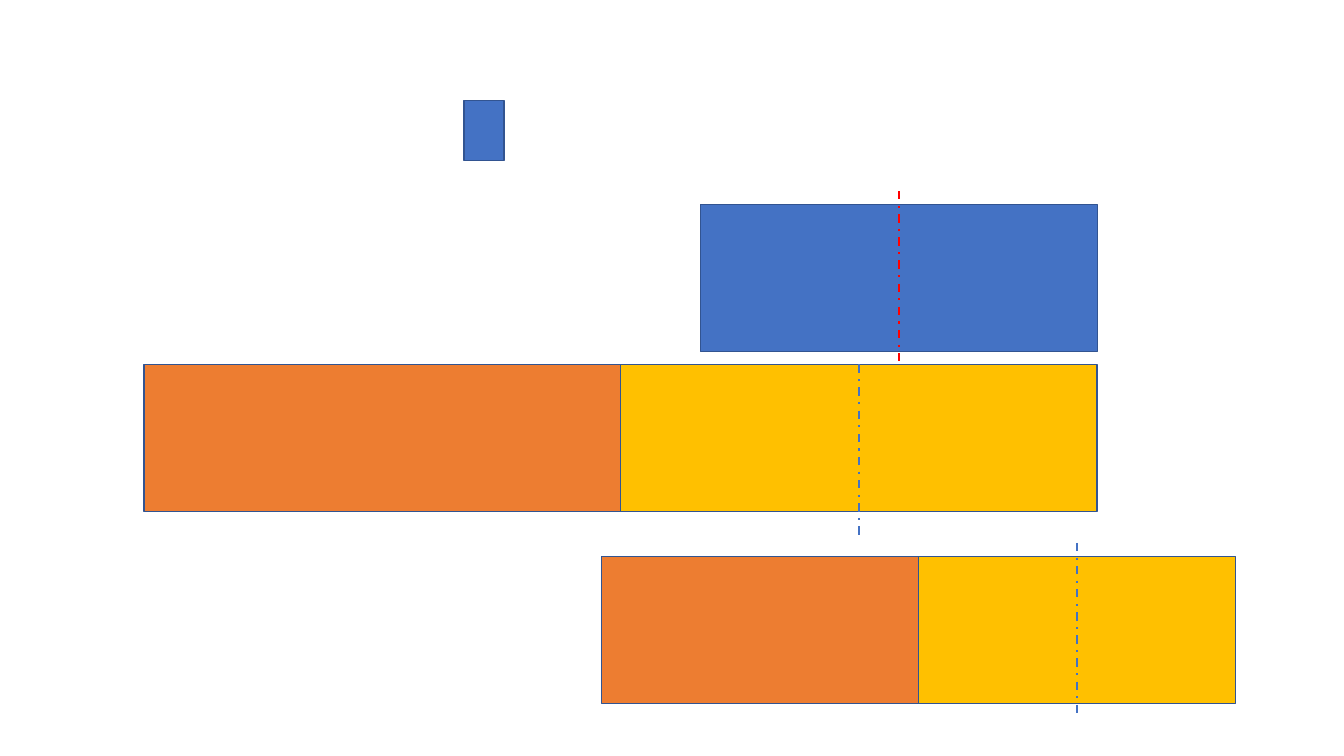
"""Builds a slide of stacked colour bars with dash-dot centre lines."""
from dataclasses import dataclass

from lxml.etree import SubElement
from pptx import Presentation
from pptx.dml.color import RGBColor
from pptx.enum.dml import MSO_LINE
from pptx.enum.shapes import MSO_CONNECTOR, MSO_SHAPE
from pptx.oxml.ns import qn
from pptx.util import Emu, Pt

EMU_PER_PX = 9525


def px(n):
    return Emu(n * EMU_PER_PX)


@dataclass(frozen=True)
class Theme:
    blue: str = "4472C4"
    orange: str = "ED7D31"
    yellow: str = "FFC000"
    red: str = "FF0000"
    outline: str = "325491"
    outline_width: float = 1
    axis_width: float = 1.5


class Canvas:
    def __init__(self, slide, theme):
        self.slide = slide
        self.theme = theme

    def group(self):
        return self.slide.shapes.add_group_shape()

    def bar(self, x, y, w, h, color, parent=None):
        shapes = (parent or self.slide).shapes
        s = shapes.add_shape(MSO_SHAPE.RECTANGLE, px(x), px(y), px(w), px(h))
        s.shadow.inherit = False
        s.fill.solid()
        s.fill.fore_color.rgb = RGBColor.from_string(color)
        s.line.color.rgb = RGBColor.from_string(self.theme.outline)
        s.line.width = Pt(self.theme.outline_width)
        return s

    def axis(self, x, y, length, color, parent=None):
        shapes = (parent or self.slide).shapes
        c = shapes.add_connector(MSO_CONNECTOR.STRAIGHT, px(x), px(y), px(x), px(y + length))
        c.line.color.rgb = RGBColor.from_string(color)
        c.line.width = Pt(self.theme.axis_width)
        c.line.dash_style = MSO_LINE.DASH_DOT
        SubElement(c._element.spPr, qn("a:effectLst"))
        return c


def main():
    prs = Presentation()
    prs.slide_width, prs.slide_height = px(1280), px(720)
    theme = Theme()
    canvas = Canvas(prs.slides.add_slide(prs.slide_layouts[6]), theme)
    bar_h, axis_h, overhang = 140, 166, 13

    x, y, w = 573, 530, 302
    canvas.bar(x, y, w, bar_h, theme.orange)
    canvas.bar(x + w, y, w, bar_h, theme.yellow)
    canvas.axis(x + w + w // 2, y - overhang, axis_h, theme.blue)

    x, y, w = 667, 195, 378
    grp = canvas.group()
    canvas.bar(x, y, w, bar_h, theme.blue, grp)
    canvas.axis(x + w // 2, y - overhang, axis_h, theme.red, grp)

    canvas.bar(442, 96, 38, 57, theme.blue)

    x, y, w = 137, 347, 454
    yellow_bar = canvas.bar(x + w, y, w, bar_h, theme.yellow)
    canvas.bar(x, y, w, bar_h, theme.orange)
    axis = canvas.axis(x + w + w // 2, y, axis_h, theme.blue)
    axis.begin_connect(yellow_bar, 0)

    prs.save("out.pptx")


if __name__ == "__main__":
    main()
